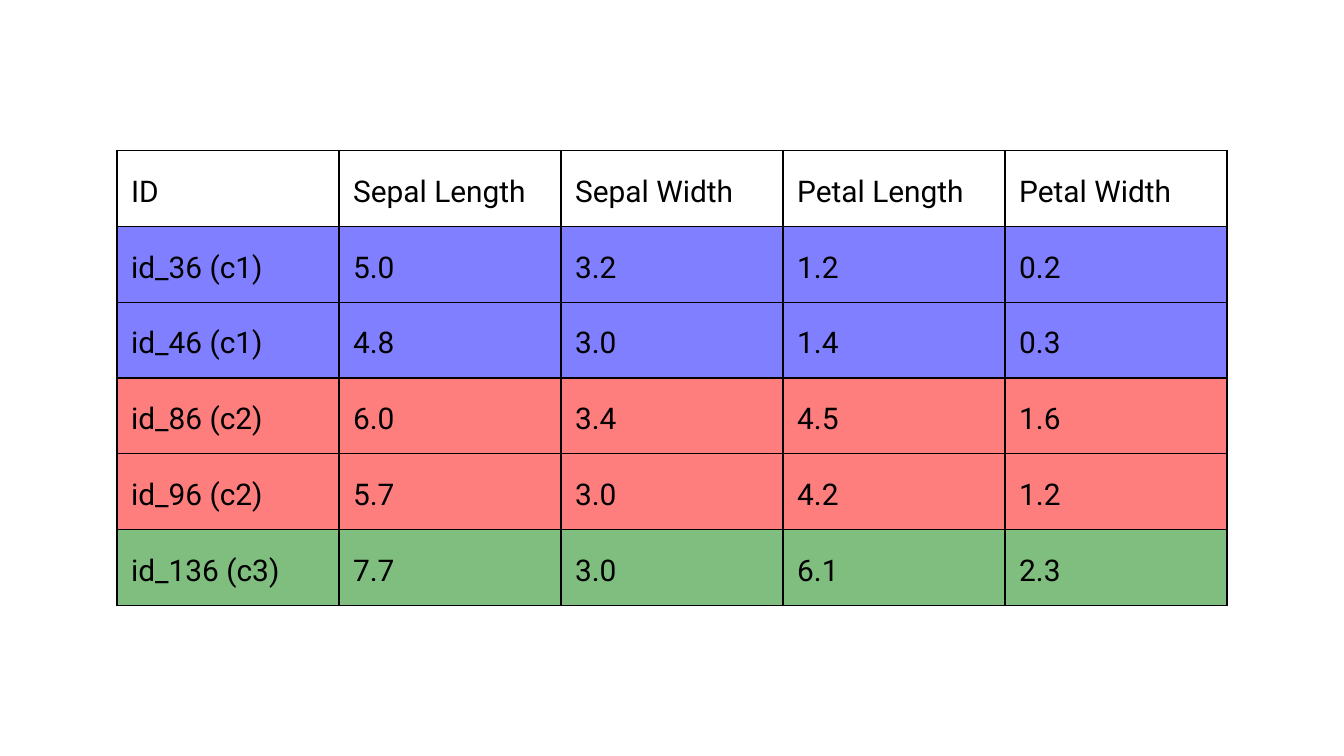
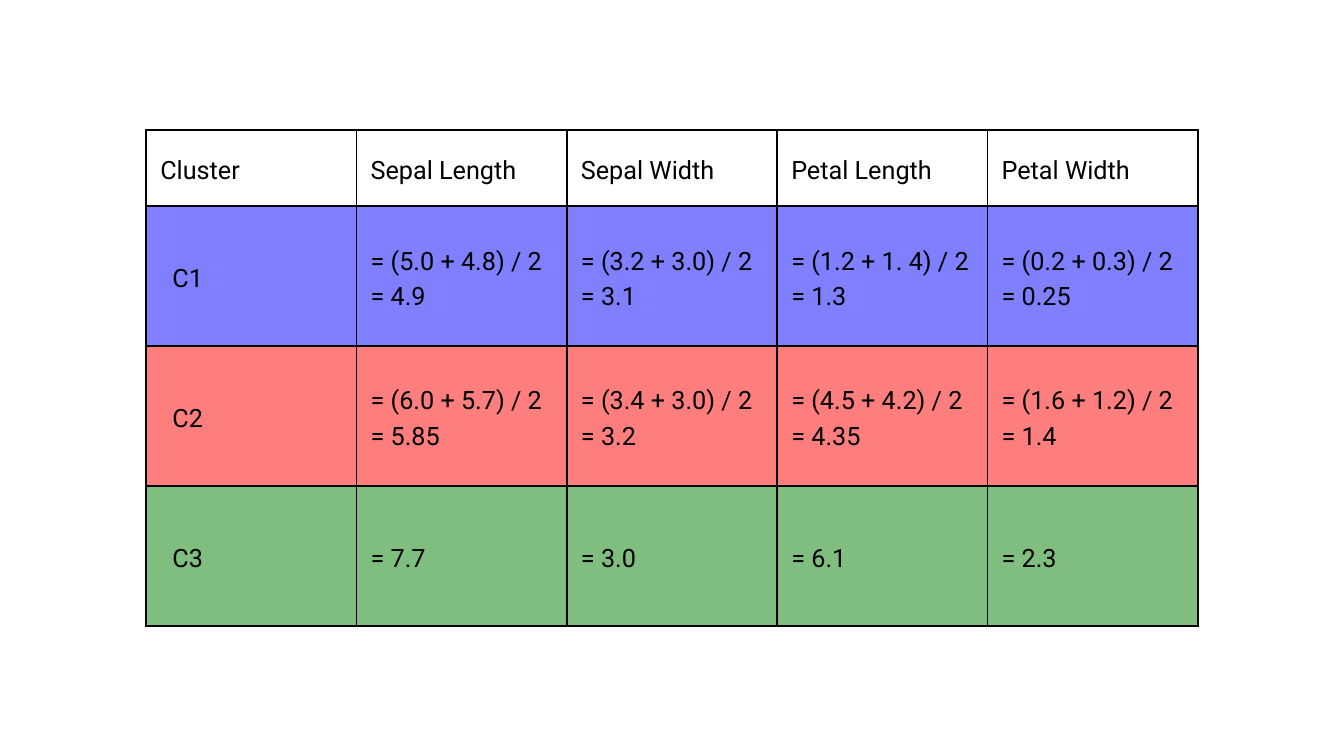
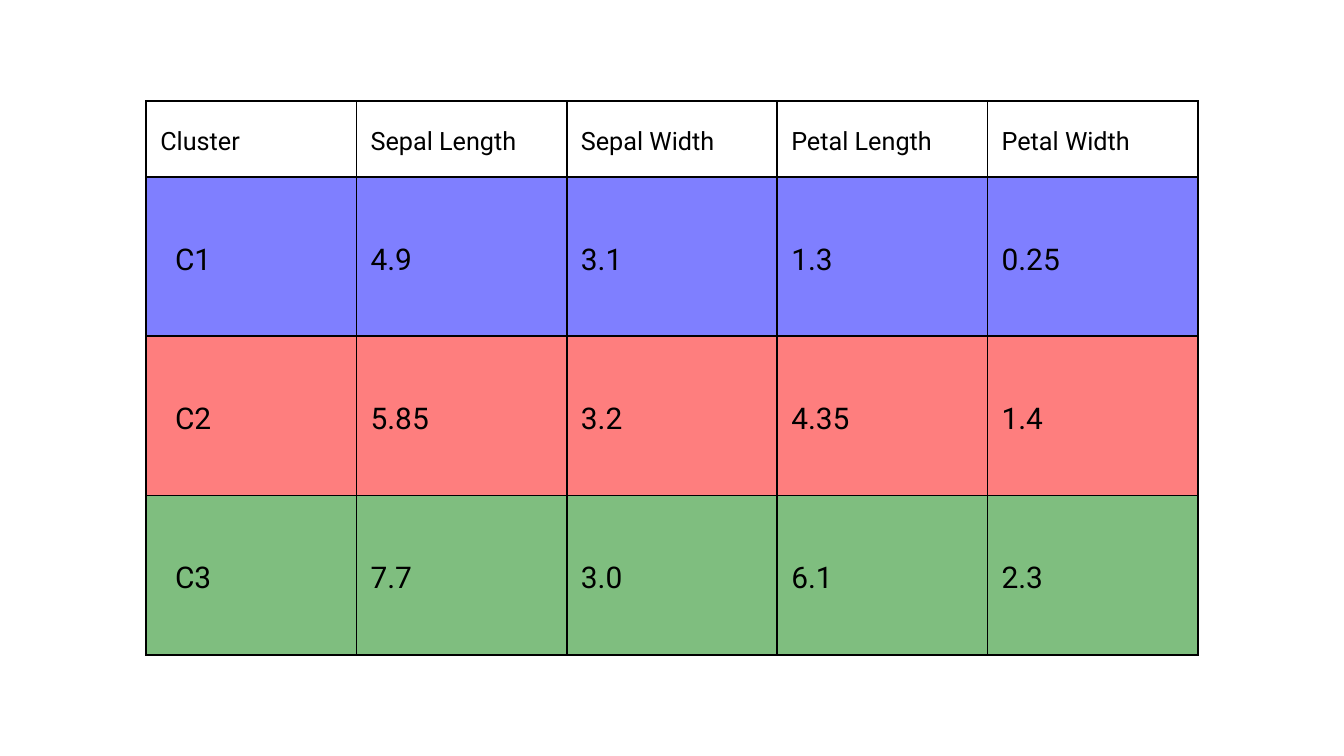
from dataclasses import dataclass

from pptx import Presentation
from pptx import util as u
from pptx.dml.color import RGBColor
from pptx.enum import text
from pptx.oxml import parse_xml
from pptx.oxml.ns import nsdecls

BLACK = RGBColor(0x00, 0x00, 0x00)
WHITE = RGBColor(0xFF, 0xFF, 0xFF)
BLUE = RGBColor(0x7F, 0x7F, 0xFF)
RED = RGBColor(0xFE, 0x7E, 0x7E)
GREEN = RGBColor(0x7F, 0xBE, 0x7F)

FONT = "Roboto"
WIDE, HIGH = u.Inches(20), u.Inches(11.25)
HEAD = u.Inches(1.13)
PAD = u.Inches(0.21)
LEADING = 1.4
SIDES = ("lnL", "lnR", "lnT", "lnB")
TRAITS = ("Sepal Length", "Sepal Width", "Petal Length", "Petal Width")


@dataclass
class Row:
    cells: tuple[str, ...]
    fill: RGBColor


@dataclass
class Grid:
    """A table centred on its slide; sizes and rule are in points."""
    key: str
    rows: list[Row]
    width: u.Inches
    height: u.Inches
    head: int
    body: int
    rule: float
    indent: u.Inches = u.Inches(0)


GRIDS = [
    Grid("ID", [
        Row(("id_36 (c1)", "5.0", "3.2", "1.2", "0.2"), BLUE),
        Row(("id_46 (c1)", "4.8", "3.0", "1.4", "0.3"), BLUE),
        Row(("id_86 (c2)", "6.0", "3.4", "4.5", "1.6"), RED),
        Row(("id_96 (c2)", "5.7", "3.0", "4.2", "1.2"), RED),
        Row(("id_136 (c3)", "7.7", "3.0", "6.1", "2.3"), GREEN),
    ], u.Inches(16.52), u.Inches(6.77), 32, 32, 1.5),
    Grid("Cluster", [
        Row(("C1", "= (5.0 + 4.8) / 2\n= 4.9", "= (3.2 + 3.0) / 2\n= 3.1",
             "= (1.2 + 1. 4) / 2\n= 1.3", "= (0.2 + 0.3) / 2\n= 0.25"), BLUE),
        Row(("C2", "= (6.0 + 5.7) / 2\n= 5.85", "= (3.4 + 3.0) / 2\n= 3.2",
             "= (4.5 + 4.2) / 2\n= 4.35", "= (1.6 + 1.2) / 2\n= 1.4"), RED),
        Row(("C3", "= 7.7", "= 3.0", "= 6.1", "= 2.3"), GREEN),
    ], u.Inches(15.65), u.Inches(7.37), 27, 27, 2.25, u.Inches(0.18)),
    Grid("Cluster", [
        Row(("C1", "4.9", "3.1", "1.3", "0.25"), BLUE),
        Row(("C2", "5.85", "3.2", "4.35", "1.4"), RED),
        Row(("C3", "7.7", "3.0", "6.1", "2.3"), GREEN),
    ], u.Inches(15.65), u.Inches(8.24), 27, 32, 2.25, u.Inches(0.22)),
]


def set_edges(cell, rule: float) -> None:
    props = cell._tc.get_or_add_tcPr()
    for side in SIDES:
        props.append(parse_xml(
            f'<a:{side} {nsdecls("a")} w="{u.Pt(rule)}"><a:solidFill>'
            f'<a:srgbClr val="{BLACK}"/></a:solidFill></a:{side}>'))


def fill_cell(cell, words: str, size: int, fill: RGBColor, rule: float) -> None:
    set_edges(cell, rule)
    cell.fill.solid()
    cell.fill.fore_color.rgb = fill
    cell.vertical_anchor = text.MSO_ANCHOR.MIDDLE
    cell.margin_left = cell.margin_right = PAD
    cell.margin_top = cell.margin_bottom = PAD
    cell.text_frame.text = words
    for para in cell.text_frame.paragraphs:
        para.line_spacing = u.Pt(size * LEADING)
        for run in para.runs:
            font = run.font
            font.name, font.size, font.bold = FONT, u.Pt(size), False
            font.color.rgb = BLACK


def draw_grid(slide, grid: Grid) -> None:
    rows = [Row((grid.key, *TRAITS), WHITE), *grid.rows]
    count = len(rows[0].cells)
    table = slide.shapes.add_table(
        len(rows), count, (WIDE - grid.width) // 2, (HIGH - grid.height) // 2,
        grid.width, grid.height).table
    table.first_row = table.horz_banding = False
    for col in table.columns:
        col.width = grid.width // count
    for y, row in enumerate(rows):
        table.rows[y].height = (grid.height - HEAD) // len(grid.rows) if y else HEAD
        size = grid.body if y else grid.head
        for x, words in enumerate(row.cells):
            fill_cell(table.cell(y, x), words, size, row.fill, grid.rule)
        if y:
            table.cell(y, 0).margin_left = PAD + grid.indent


def main() -> None:
    deck = Presentation()
    deck.slide_width, deck.slide_height = WIDE, HIGH
    blank = deck.slide_layouts[6]
    for grid in GRIDS:
        draw_grid(deck.slides.add_slide(blank), grid)
    deck.save("out.pptx")


if __name__ == "__main__":
    main()
